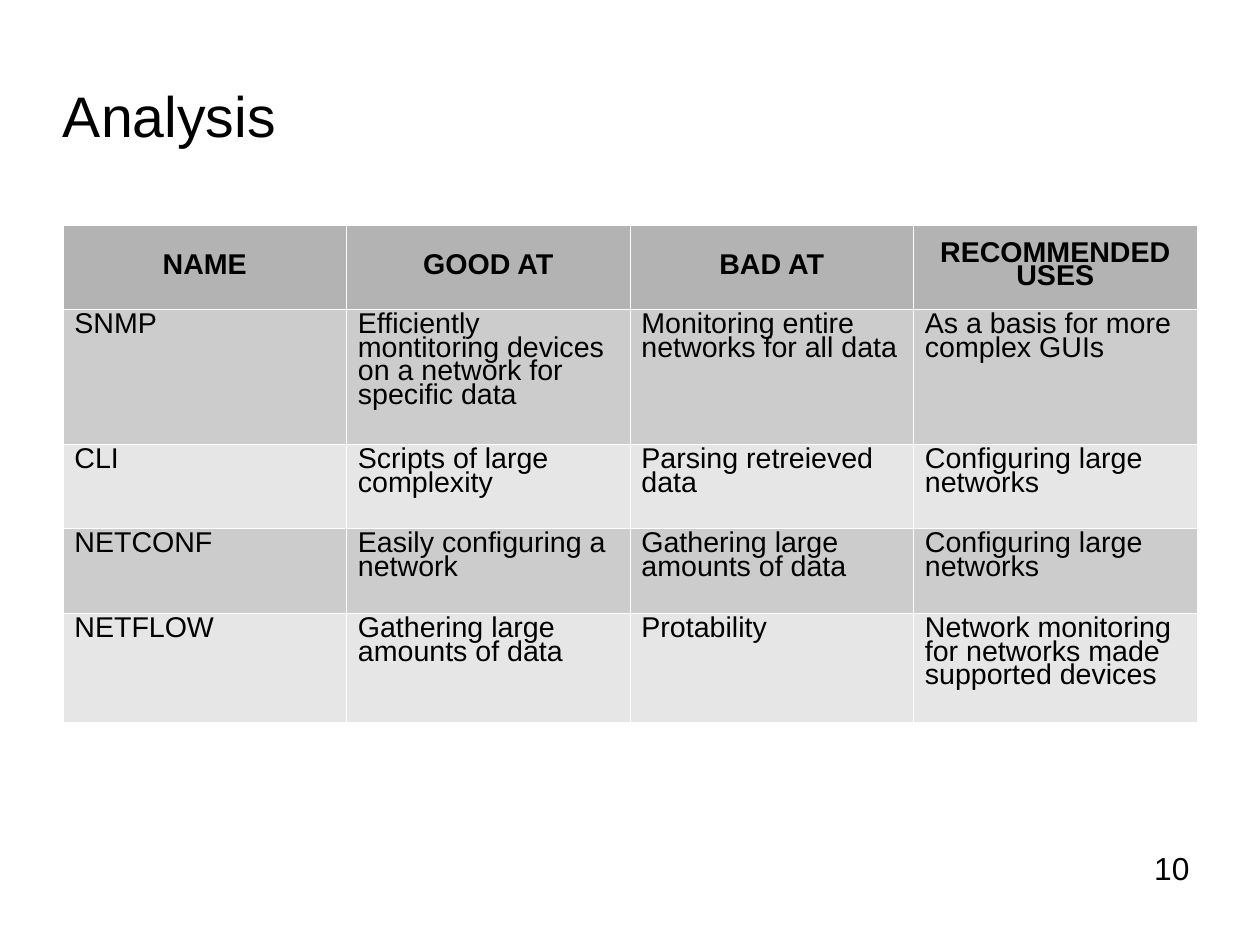
import pptx
import pptx.dml.color
import pptx.enum.text
import pptx.oxml
import pptx.oxml.ns
import pptx.util

PX = 8000  # EMU per px
FONT = "Arial"
BLACK = pptx.dml.color.RGBColor(0x00, 0x00, 0x00)
WHITE = pptx.dml.color.RGBColor(0xFF, 0xFF, 0xFF)
HEADER_GRAY = pptx.dml.color.RGBColor(0xB3, 0xB3, 0xB3)
DARK_GRAY = pptx.dml.color.RGBColor(0xCC, 0xCC, 0xCC)
LIGHT_GRAY = pptx.dml.color.RGBColor(0xE6, 0xE6, 0xE6)

ALIGN = pptx.enum.text.PP_ALIGN
ANCHOR = pptx.enum.text.MSO_ANCHOR

ROW_HEIGHTS = [84, 135, 84, 85, 109]
ROWS = [
    ["NAME", "GOOD AT", "BAD AT", "RECOMMENDED USES"],
    ["SNMP", "Efficiently montitoring devices on a network for specific data",
     "Monitoring entire networks for all data", "As a basis for more complex GUIs"],
    ["CLI", "Scripts of large complexity", "Parsing retreieved data",
     "Configuring large networks"],
    ["NETCONF", "Easily configuring a network", "Gathering large amounts of data",
     "Configuring large networks"],
    ["NETFLOW", "Gathering large amounts of data", "Protability",
     "Network monitoring for networks made supported devices"],
]


def px(n):
    return pptx.util.Emu(n * PX)


def write(tf, text, size, spacing, align=ALIGN.LEFT, bold=False):
    p = tf.paragraphs[0]
    p.alignment = align
    p.line_spacing = spacing
    r = p.add_run()
    r.text = text
    r.font.name = FONT
    r.font.size = pptx.util.Pt(size)
    r.font.bold = bold
    r.font.color.rgb = BLACK


def set_title(slide, text, left, top, width, height):
    sp = slide.shapes.title
    sp.left, sp.top, sp.width, sp.height = map(px, (left, top, width, height))
    tf = sp.text_frame
    tf.auto_size = pptx.enum.text.MSO_AUTO_SIZE.NONE
    tf.vertical_anchor = ANCHOR.MIDDLE
    tf.margin_left = tf.margin_right = tf.margin_bottom = 0
    tf.margin_top = px(3)
    write(tf, text, 36, 0.94)


def add_page_number(slide, text, left, top, width, height):
    sp = slide.shapes.add_textbox(px(left), px(top), px(width), px(height))
    sp.text_frame.word_wrap = True
    write(sp.text_frame, text, 20, 0.94)


def set_borders(cell, color):
    tcPr = cell._tc.get_or_add_tcPr()
    for i, side in enumerate(("lnL", "lnR", "lnT", "lnB")):
        tcPr.insert(i, pptx.oxml.parse_xml(
            f'<a:{side} {pptx.oxml.ns.nsdecls("a")} w="762"><a:solidFill>'
            f'<a:srgbClr val="{color}"/></a:solidFill></a:{side}>'))


def add_comparison(slide, left, top, width):
    table = slide.shapes.add_table(
        len(ROWS), len(ROWS[0]), px(left), px(top), px(width), px(sum(ROW_HEIGHTS))).table
    table.first_row = False
    table.horz_banding = False
    for i, (height, texts) in enumerate(zip(ROW_HEIGHTS, ROWS)):
        table.rows[i].height = px(height)
        header = i == 0
        fill = HEADER_GRAY if header else DARK_GRAY if i % 2 else LIGHT_GRAY
        for j, text in enumerate(texts):
            cell = table.cell(i, j)
            cell.fill.solid()
            cell.fill.fore_color.rgb = fill
            cell.vertical_anchor = ANCHOR.MIDDLE if header else ANCHOR.TOP
            write(cell.text_frame, text, 18, 0.74,
                  ALIGN.CENTER if header else ALIGN.LEFT, header)
            set_borders(cell, WHITE)


def main():
    prs = pptx.Presentation()
    prs.slide_width, prs.slide_height = px(1260), px(945)
    slide = prs.slides.add_slide(prs.slide_layouts[5])

    # Title
    set_title(slide, "Analysis", 63, 72, 900, 90)
    # Protocol comparison
    add_comparison(slide, 63, 225, 1134)
    # Page number
    add_page_number(slide, "10", 1143, 846, 80, 47)

    prs.save("out.pptx")


if __name__ == "__main__":
    main()
